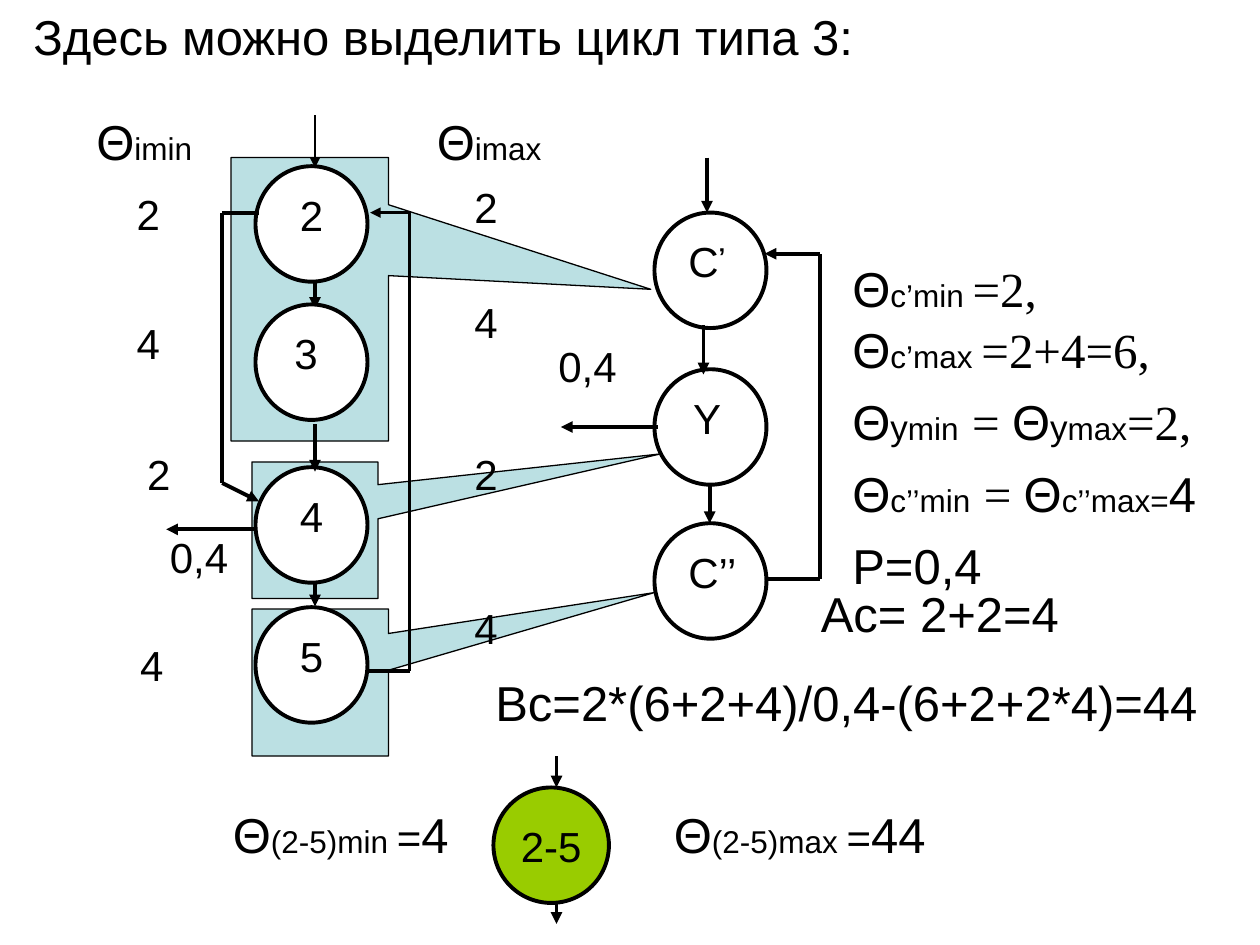
from itertools import pairwise
from lxml.etree import SubElement
from pptx import Presentation
from pptx.dml.color import RGBColor
from pptx.enum.shapes import MSO_CONNECTOR, MSO_SHAPE
from pptx.enum.text import MSO_ANCHOR, PP_ALIGN
from pptx.oxml.ns import qn
from pptx.util import Pt

BLACK = RGBColor(0x00, 0x00, 0x00)
WHITE = RGBColor(0xFF, 0xFF, 0xFF)
PALE_BLUE = RGBColor(0xBB, 0xE0, 0xE3)
GREEN = RGBColor(0x99, 0xCC, 0x00)
SANS, SERIF = "Arial", "Times New Roman"
INSET = 7.2

CALLOUTS = [
    (144, 348, 78, 84, 2.447, -0.612),
    (144, 264, 72, 78, 2.743, -0.559),
    (132, 90, 90, 162, 2.165, -0.035),
]

LEFT_NODES_X, RIGHT_NODES_X = 146, 374
NODE_WIDTH, NODE_HEIGHT = 64, 66
NODES = [
    (LEFT_NODES_X, 95, "2", None),
    (LEFT_NODES_X, 174, "3", 5.6),
    (LEFT_NODES_X, 267, "4", None),
    (LEFT_NODES_X, 347, "5", None),
    (RIGHT_NODES_X, 121.5, "C’", 2.8),
    (RIGHT_NODES_X, 211, "Y", 5.6),
    (RIGHT_NODES_X, 299, "C’’", 2.8),
]

LINES_BEHIND = [
    ([(180, 330.5), (180, 346.5)], 2.25, True),
    ([(180, 156), (180, 176.5)], 2.25, True),
    ([(146, 302.5), (95, 302.5)], 2.25, True),
]
LINES_IN_FRONT = [
    ([(180, 242.5), (180, 269.5)], 2.25, True),
    ([(180, 66), (180, 96)], 1.5, True),
    ([(210, 383.5), (234, 383.5), (234, 120.5)], 2.25, False),
    ([(233, 121.5), (211.5, 121.5)], 1.5, True),
    ([(148, 121.5), (127, 121.5), (127, 276), (148, 286.5)], 2.25, True),
    ([(404, 90), (404, 121.5)], 2.25, True),
    ([(376, 244), (320.5, 244)], 2.25, True),
    ([(437, 331), (468.5, 331), (468.5, 145), (437, 145)], 2.25, True),
    ([(405.5, 276.5), (405.5, 299)], 2.25, True),
    ([(402, 186), (402, 214)], 2.25, True),
    ([(318, 432), (318, 450)], 2.25, True),
    ([(318, 516), (318, 528)], 2.25, True),
]

TIMES = [
    (71, 104, "2"), (71, 178, "4"), (77, 253, "2"), (73, 362, "4"),
    (264, 100, "2"), (264, 166, "4"), (264, 253, "2"), (264, 341, "4"),
    (90, 300, "0,4"), (312, 191, "0,4"),
]

THETA = ("Θ", 28, SANS)
HEADINGS = [
    (12, 0, 618, [("Здесь можно выделить цикл типа 3:", 28, SANS)]),
    (48, 60, 120, [THETA, ("imin", 18, SANS)]),
    (242.5, 60, 120, [THETA, ("imax", 18, SANS)]),
    (462, 330, 200, [("Ac= 2+2=4", 28, SANS)]),
    (276, 381, 432, [("Bc=2*(6+2+4)/0,4-(6+2+2*4)=44", 28, SANS)]),
    (126, 456, 150,
     [THETA, ("(2-5)min ", 18, SANS), ("=", 24, SANS), ("4", 28, SANS)]),
    (378, 456, 210,
     [THETA, ("(2-5)max ", 18, SANS), ("=", 24, SANS), ("44", 28, SANS)]),
]
FORMULAS = [
    (0, [THETA, ("c’min ", 18, SANS), ("=2,", 28, SERIF)]),
    (1.5, [THETA, ("c’max ", 18, SANS), ("=2+4=6,", 28, SERIF)]),
    (7.5, [THETA, ("у", 20, SANS), ("min", 18, SANS), (" ", 28, SANS),
           ("= ", 28, SERIF), THETA, ("у", 20, SANS), ("max", 18, SANS),
           ("=2,", 28, SERIF)]),
    (7.5, [THETA, ("c’’min", 18, SANS), (" ", 28, SANS), ("= ", 28, SERIF),
           THETA, ("c’’max=", 18, SANS), ("4", 28, SANS)]),
    (7.5, [("P=0,4", 28, SANS)]),
]


def write(paragraph, runs):
    paragraph.font.color.rgb = BLACK
    for text, size, name in runs:
        run = paragraph.add_run()
        run.text = text
        run.font.size = Pt(size)
        run.font.name = name
        run.font.color.rgb = BLACK


def add_text(slide, left, top, width, height, lines):
    box = slide.shapes.add_textbox(Pt(left), Pt(top), Pt(width), Pt(height))
    frame = box.text_frame
    frame.word_wrap = True
    for index, (space, runs) in enumerate(lines):
        paragraph = frame.add_paragraph() if index else frame.paragraphs[0]
        if space:
            paragraph.space_before = Pt(space)
        write(paragraph, runs)


def add_outlined(slide, kind, left, top, width, height, fill, weight):
    shape = slide.shapes.add_shape(kind, Pt(left), Pt(top), Pt(width), Pt(height))
    shape.shadow.inherit = False
    shape.fill.solid()
    shape.fill.fore_color.rgb = fill
    shape.line.color.rgb = BLACK
    shape.line.width = Pt(weight)
    return shape


def add_node(slide, left, top, width, text, fill, indent=None):
    shape = add_outlined(slide, MSO_SHAPE.FLOWCHART_CONNECTOR,
                         left, top, width, NODE_HEIGHT, fill, 2.25)
    frame = shape.text_frame
    frame.vertical_anchor = MSO_ANCHOR.TOP
    paragraph = frame.paragraphs[0]
    paragraph.alignment = PP_ALIGN.CENTER
    if indent is not None:
        paragraph.alignment = PP_ALIGN.LEFT
        frame.margin_left = Pt(INSET + indent)
    if text == "C’":
        write(paragraph, [("C", 24, SANS), ("’", 24, SANS)])
        prime = paragraph.runs[1].font
        prime.bold = True
        prime._element.set("baseline", "30000")
    else:
        write(paragraph, [(text, 24, SANS)])
    return frame


def add_lines(slide, lines):
    for points, weight, has_arrow in lines:
        for start, end in pairwise(points):
            connector = slide.shapes.add_connector(
                MSO_CONNECTOR.STRAIGHT, *map(Pt, start + end))
            connector.line.color.rgb = BLACK
            connector.line.width = Pt(weight)
            if has_arrow and end == points[-1]:
                SubElement(connector.line._get_or_add_ln(), qn("a:tailEnd"), type="triangle")
            SubElement(connector._element.spPr, qn("a:effectLst"))


def main():
    presentation = Presentation()
    presentation.slide_width, presentation.slide_height = Pt(720), Pt(540)
    slide = presentation.slides.add_slide(presentation.slide_layouts[6])

    for left, top, width, height, tip_x, tip_y in CALLOUTS:
        callout = add_outlined(slide, MSO_SHAPE.RECTANGULAR_CALLOUT,
                               left, top, width, height, PALE_BLUE, 0.75)
        callout.adjustments[0] = tip_x
        callout.adjustments[1] = tip_y

    add_lines(slide, LINES_BEHIND)
    for left, top, text, indent in NODES:
        add_node(slide, left, top, NODE_WIDTH, text, WHITE, indent)
    merged = add_node(slide, 282, 450, NODE_HEIGHT, "2-5", GREEN)
    merged.vertical_anchor = MSO_ANCHOR.MIDDLE
    merged.word_wrap = False
    add_lines(slide, LINES_IN_FRONT)

    for left, top, text in TIMES:
        add_text(slide, left, top, 60, 36, [(0, [(text, 24, SANS)])])
    for left, top, width, runs in HEADINGS:
        add_text(slide, left, top, width, 41, [(0, runs)])
    add_text(slide, 480, 144, 222, 173.5, FORMULAS)

    presentation.save("out.pptx")


if __name__ == "__main__":
    main()
